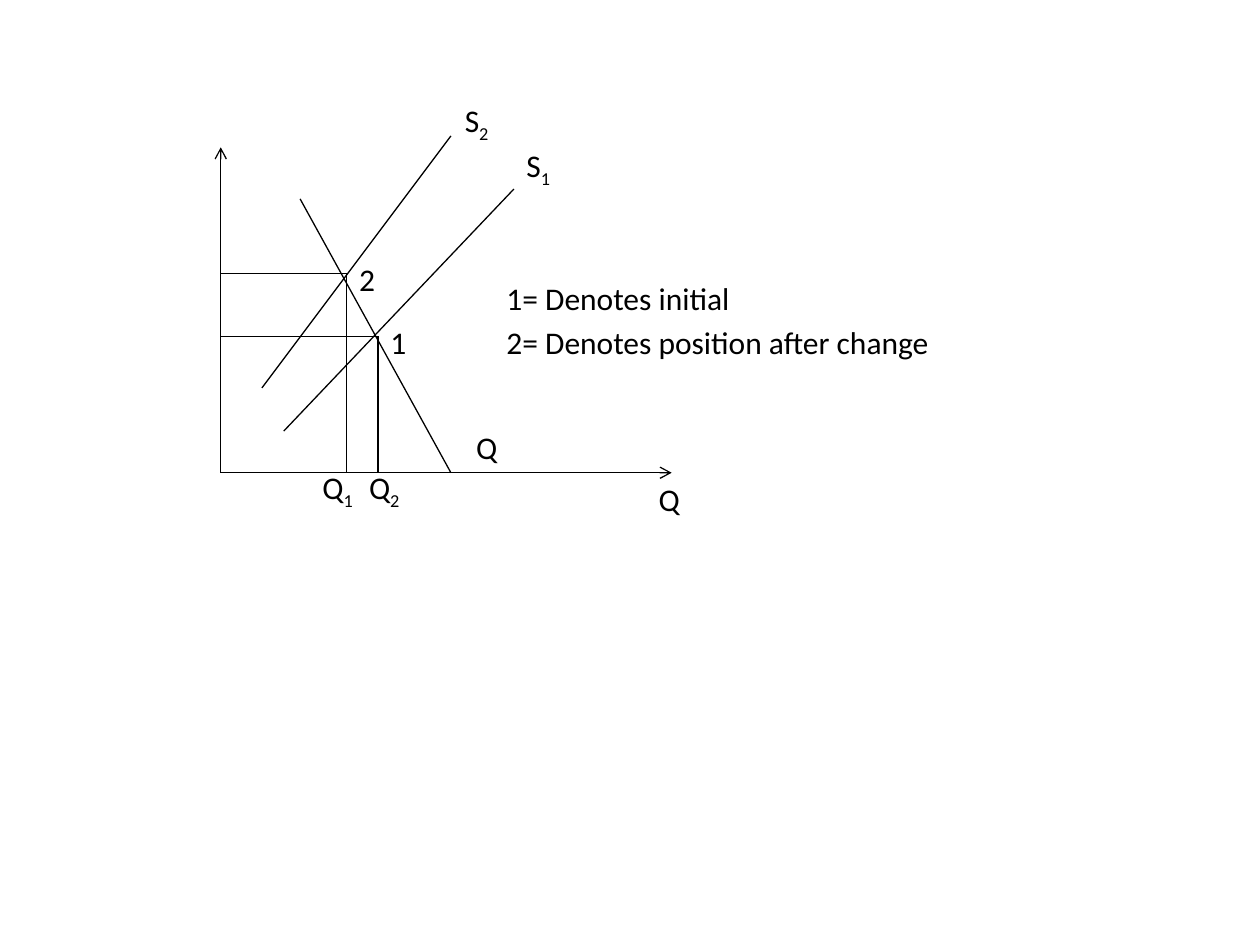
from dataclasses import dataclass

from pptx import Presentation
from pptx.dml.color import RGBColor
from pptx.enum.shapes import MSO_CONNECTOR as Connector
from pptx.enum.text import MSO_AUTO_SIZE as AutoSize
from pptx.oxml.ns import qn
from pptx.slide import Slide
from pptx.util import Cm, Pt
from lxml.etree import SubElement

COLORS = {"ink": "000000", "background": "FFFFFF"}
FONT = "Calibri"
LABEL_HEIGHT = 1.02

# Key positions of the diagram, in centimetres
ORIGIN_X, ORIGIN_Y = 4.45, 9.53
INITIAL_X, INITIAL_Y = 7.62, 6.78
CHANGED_X, CHANGED_Y = 6.99, 5.51
LEGEND_X = 9.96


@dataclass(frozen=True)
class Line:
    start: tuple[float, float]
    end: tuple[float, float]
    arrow: bool = False


@dataclass(frozen=True)
class Label:
    left: float
    top: float
    width: float
    text: str
    subscript: str = ""


def guides(x: float, y: float) -> list[Line]:
    """Lines from an equilibrium point to both axes."""
    return [Line((ORIGIN_X, y), (x, y)), Line((x, y), (x, ORIGIN_Y))]


LINES = [
    # Axes
    Line((ORIGIN_X, ORIGIN_Y), (ORIGIN_X, 2.97), arrow=True),
    Line((ORIGIN_X, ORIGIN_Y), (13.54, ORIGIN_Y), arrow=True),
    # Equilibrium guides
    *guides(CHANGED_X, CHANGED_Y),
    *guides(INITIAL_X, INITIAL_Y),
    # Supply curves, then the demand curve
    Line((9.09, 2.74), (5.28, 7.82)),
    Line((10.36, 3.81), (5.72, 8.69)),
    Line((6.05, 4.01), (9.09, ORIGIN_Y)),
]

LABELS = [
    # Equilibrium points
    Label(CHANGED_X, 5.11, 0.84, "2"),
    Label(INITIAL_X, 6.38, 0.84, "1"),
    # Curves and quantities
    Label(9.12, 1.91, 1.02, "S", "2"),
    Label(10.36, 2.82, 1.02, "S", "1"),
    Label(13.03, 9.55, 0.94, "Q"),
    Label(7.19, 9.32, 1.17, "Q", "2"),
    Label(6.25, 9.32, 1.17, "Q", "1"),
    Label(9.35, 8.51, 0.94, "Q"),
    # Legend
    Label(LEGEND_X, 5.51, 5.08, "1= Denotes initial"),
    Label(LEGEND_X, 6.38, 9.3, "2= Denotes position after change"),
]


def color(name: str) -> RGBColor:
    return RGBColor.from_string(COLORS[name])


def draw_line(slide: Slide, line: Line) -> None:
    points = [Cm(value) for value in (*line.start, *line.end)]
    connector = slide.shapes.add_connector(Connector.STRAIGHT, *points)
    connector.line.color.rgb = color("ink")
    connector.line.width = Pt(0.75)
    if line.arrow:
        outline = connector.line._get_or_add_ln()
        SubElement(outline, qn("a:tailEnd"), type="arrow")
    SubElement(connector._element.spPr, qn("a:effectLst"))


def draw_label(slide: Slide, label: Label) -> None:
    box = slide.shapes.add_textbox(
        Cm(label.left), Cm(label.top), Cm(label.width), Cm(LABEL_HEIGHT)
    )
    frame = box.text_frame
    frame.word_wrap = False
    frame.auto_size = AutoSize.SHAPE_TO_FIT_TEXT
    paragraph = frame.paragraphs[0]
    for text, baseline in ((label.text, 0), (label.subscript, -25)):
        if not text:
            continue
        run = paragraph.add_run()
        run.text = text
        run.font.name = FONT
        run.font.size = Pt(18)
        run.font.color.rgb = color("ink")
        if baseline:
            run._r.get_or_add_rPr().set("baseline", str(baseline * 1000))


def main() -> None:
    presentation = Presentation()
    presentation.slide_width, presentation.slide_height = Cm(25.4), Cm(19.05)
    slide = presentation.slides.add_slide(presentation.slide_layouts[6])
    background = slide.background.fill
    background.solid()
    background.fore_color.rgb = color("background")
    for line in LINES:
        draw_line(slide, line)
    for label in LABELS:
        draw_label(slide, label)
    presentation.save("out.pptx")


if __name__ == "__main__":
    main()
